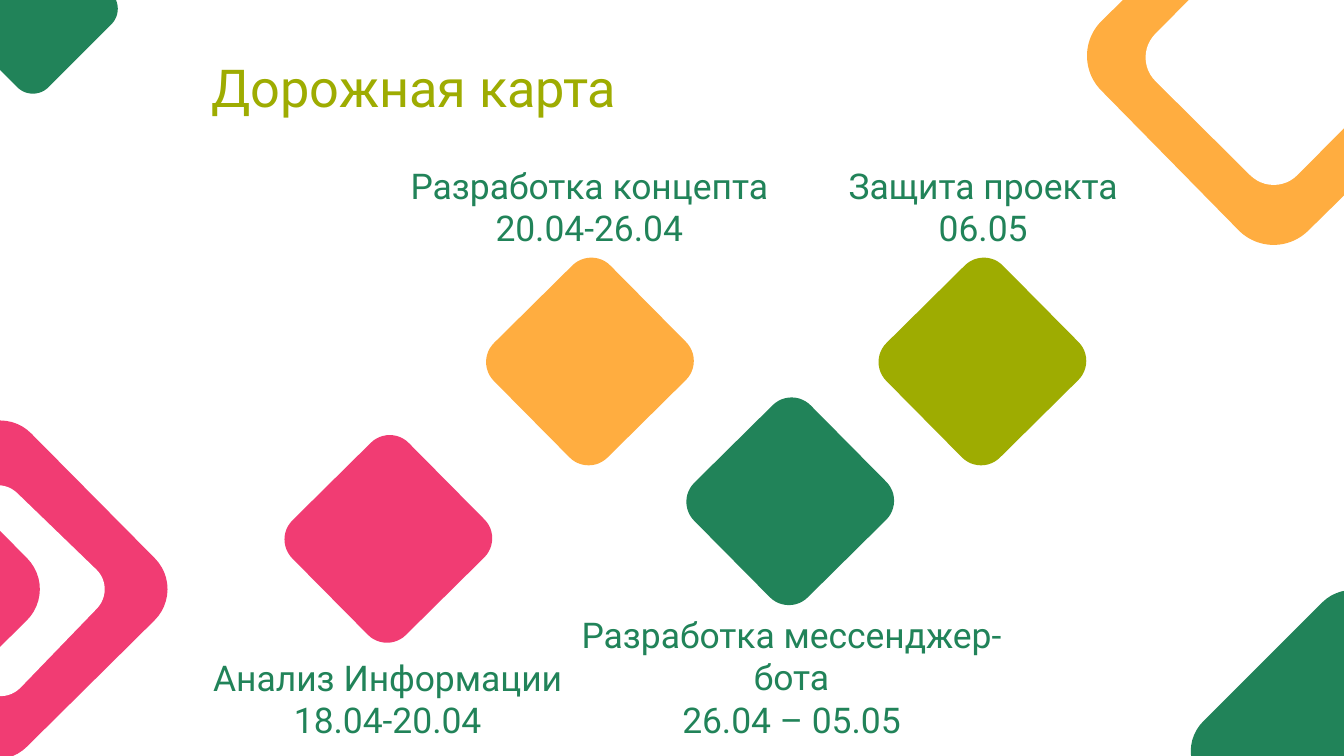
from pptx import Presentation
from pptx import util as u
from pptx.dml import color
from pptx.enum import shapes, text

PINK, ORANGE, GREEN, OLIVE, WHITE = "F13C73", "FFAD40", "218359", "9EAC01", "FFFFFF"

DECORATIONS = [
    (-1.01, 3.41, 1.99, 1.96, 315.3, PINK),
    (-0.62, 3.78, 1.23, 1.23, 314, WHITE),
    (-1.96, 3.41, 1.99, 1.96, 315.3, PINK),
    (8.39, -0.67, 2.19, 2.19, 315.5, ORANGE),
    (8.73, -0.32, 1.49, 1.49, 314.8, WHITE),
    (9.12, 4.65, 1.88, 1.88, 315, GREEN),
    (-0.25, -0.43, 0.99, 0.99, 315, GREEN),
]

MILESTONES = [(6.7, 2.09, OLIVE), (2.28, 3.41, PINK), (3.78, 2.09, ORANGE), (5.27, 3.13, GREEN)]

LABELS = [
    (1.41, 4.78, 2.95, 0.84, "Анализ Информации\v18.04-20.04"),
    (2.91, 1.12, 2.95, 0.84, "Разработка концепта\n20.04-26.04"),
    (4.16, 4.46, 3.46, 1.16, "Разработка мессенджер-бота\n26.04 – 05.05"),
    (5.84, 1.12, 2.95, 0.84, "Защита проекта\n06.05"),
]


def rgb(value):
    """Turn a hex string into a colour."""
    return color.RGBColor.from_string(value)


def add_diamond(page, left, top, width, height, angle, fill):
    """Add a rounded square turned on its corner."""
    diamond = page.shapes.add_shape(
        shapes.MSO_SHAPE.FLOWCHART_ALTERNATE_PROCESS,
        u.Inches(left), u.Inches(top), u.Inches(width), u.Inches(height))
    diamond.rotation = angle
    diamond.shadow.inherit = False
    diamond.fill.solid()
    diamond.fill.fore_color.rgb = rgb(fill)
    diamond.line.fill.background()


def add_label(page, left, top, width, height, wording, size, ink):
    """Add a centred text box."""
    box = page.shapes.add_textbox(
        u.Inches(left), u.Inches(top), u.Inches(width), u.Inches(height))
    frame = box.text_frame
    frame.word_wrap = True
    frame.margin_left = frame.margin_right = u.Inches(0.1)
    frame.margin_top = frame.margin_bottom = u.Inches(0.1)
    frame.auto_size = text.MSO_AUTO_SIZE.SHAPE_TO_FIT_TEXT
    frame.text = wording
    for para in frame.paragraphs:
        para.alignment = text.PP_ALIGN.CENTER
        for span in para.runs:
            span.font.name = "Roboto"
            span.font.size = u.Pt(size)
            span.font.color.rgb = rgb(ink)


def main():
    """Build the roadmap slide."""
    deck = Presentation()
    deck.slide_width = u.Inches(10)
    deck.slide_height = deck.slide_width * 9 // 16
    page = deck.slides.add_slide(deck.slide_layouts[6])
    for decoration in DECORATIONS:
        add_diamond(page, *decoration)
    add_label(page, 1.05, 0.31, 4.06, 0.67, "Дорожная карта", 28, OLIVE)
    for left, top, fill in MILESTONES:
        add_diamond(page, left, top, 1.22, 1.2, 315.3, fill)
    for label in LABELS:
        add_label(page, *label, 19, GREEN)
    deck.save("out.pptx")


if __name__ == "__main__":
    main()
